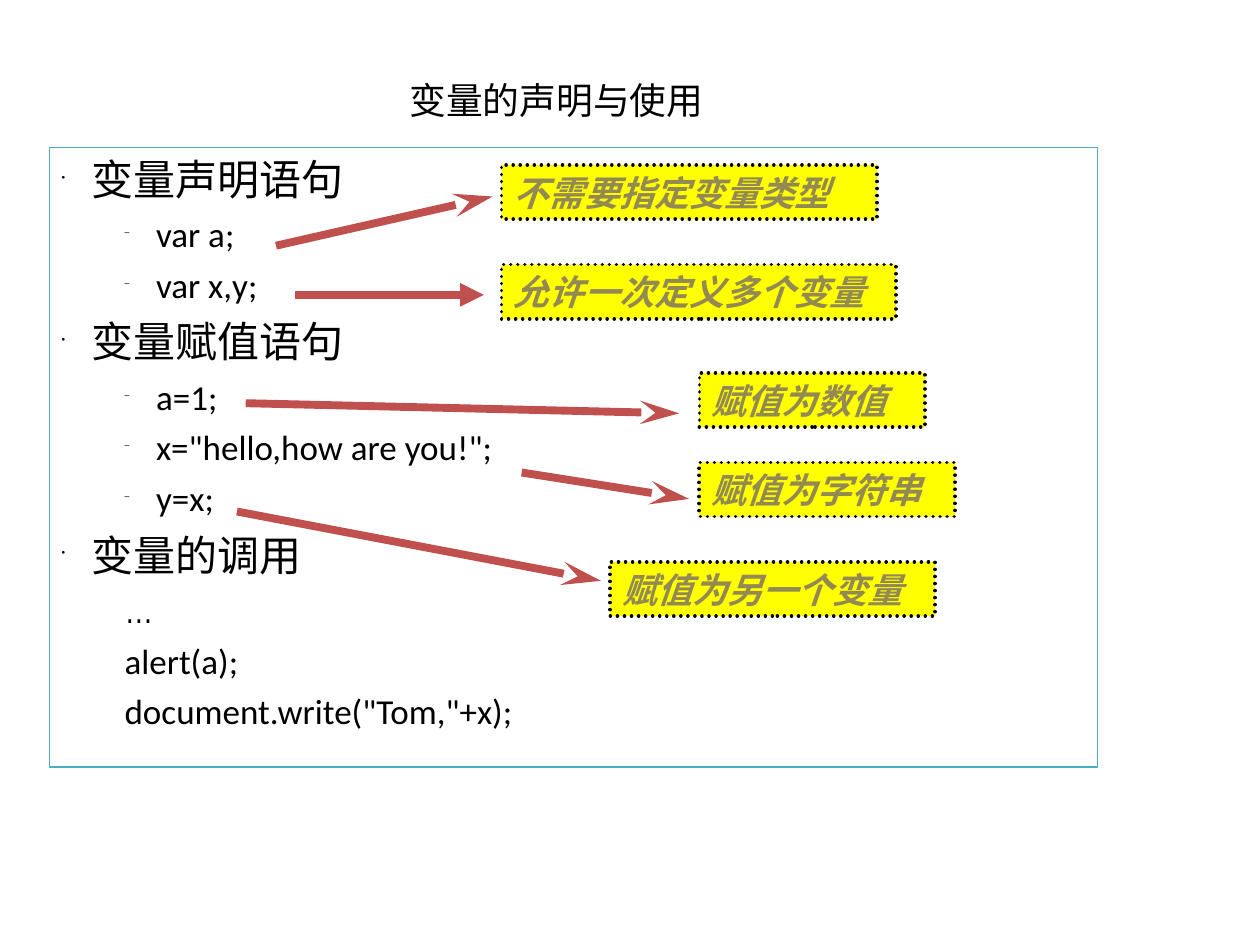
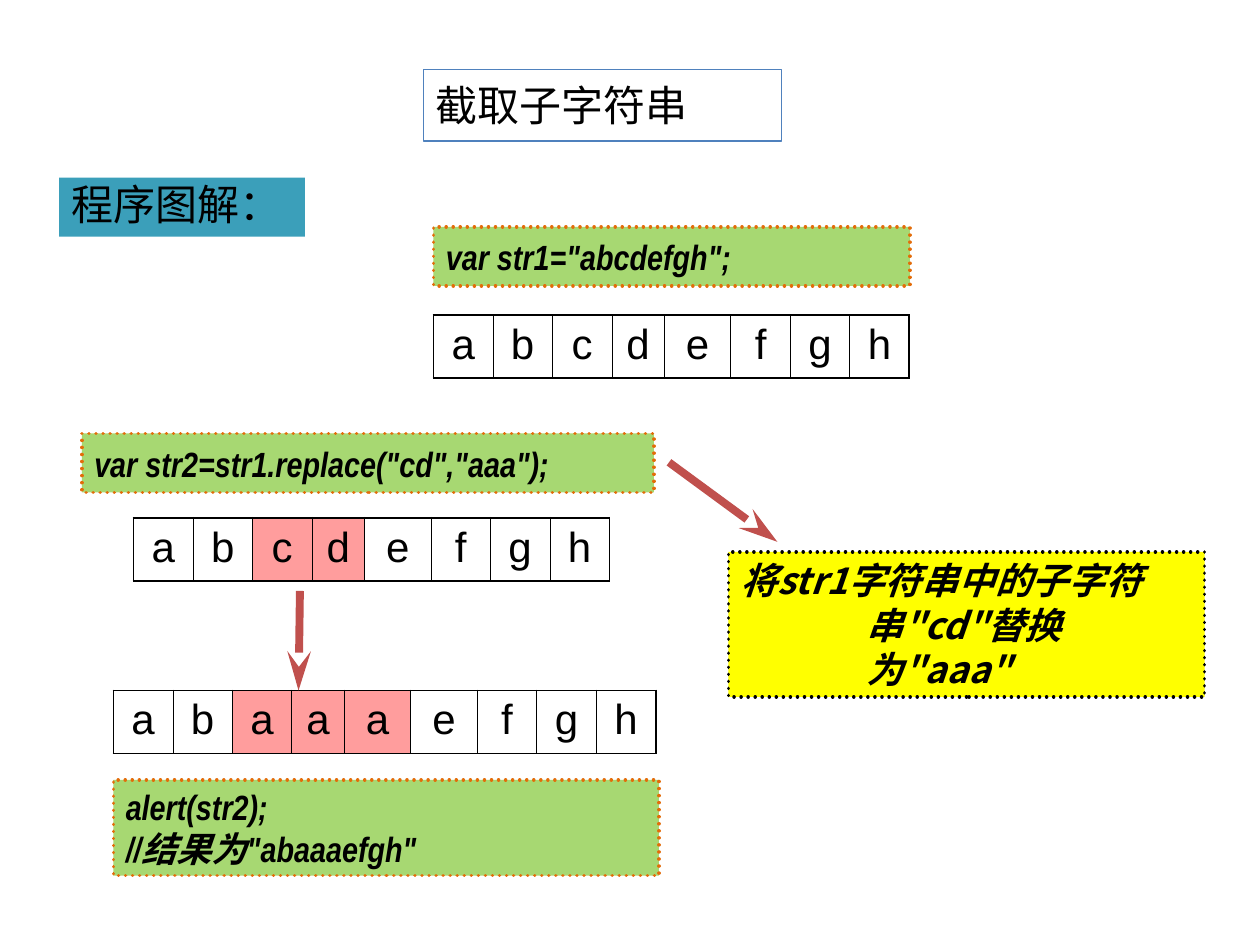
from lxml import etree
from pptx import Presentation
from pptx import util as u
from pptx.dml.color import RGBColor
from pptx.enum import dml, shapes, text
from pptx.oxml.ns import qn

COLORS = {
    "black": "000000", "white": "FFFFFF", "yellow": "FFFF00", "olive": "938953",
    "green": "A7D872", "orange": "E36C09", "red": "C0504D", "pink": "FF9D9D",
    "teal": "3B9FBA", "aqua": "4BACC6", "blue": "4F81BD",
}
CJK = "Noto Sans CJK SC"
NARROW = "Arial Narrow"
ARROW_WIDTH = 4.5
ROW_HEIGHT = 36


def color(name):
    return RGBColor.from_string(COLORS[name])


def write(para, words, size, font, ink="black", strong=False, align=text.PP_ALIGN.LEFT):
    para.alignment = align
    span = para.add_run()
    span.text = words
    span.font.size = u.Pt(size)
    span.font.name = font
    span.font.bold = span.font.italic = strong
    span.font.color.rgb = color(ink)
    latin = span.font._element.find(qn("a:latin"))
    latin.addnext(latin.makeelement(qn("a:ea"), {"typeface": CJK}))


deck = Presentation()
deck.slide_width, deck.slide_height = u.Pt(720), u.Pt(540)


def add_box(page, frame, fill, line=None, width=0.75, dotted=False,
            anchor=text.MSO_ANCHOR.TOP):
    box = page.shapes.add_shape(shapes.MSO_SHAPE.RECTANGLE, *map(u.Pt, frame))
    box.shadow.inherit = False
    box.fill.solid()
    box.fill.fore_color.rgb = RGBColor.from_string(COLORS[fill])
    if line:
        box.line.color.rgb = RGBColor.from_string(COLORS[line])
        box.line.width = u.Pt(width)
    else:
        box.line.fill.background()
    if dotted:
        box.line.dash_style = dml.MSO_LINE.ROUND_DOT
        box.line._get_or_add_ln().set("cap", "rnd")
    box.text_frame.word_wrap = True
    box.text_frame.vertical_anchor = anchor
    return box


pages = []
for words, size, frame, align in [
    ("变量的声明与使用", 21, (67.7, 39.6, 500.4, 34.6), text.PP_ALIGN.CENTER),
    ("截取子字符串", 24, (241.9, 39.6, 204.5, 41), text.PP_ALIGN.LEFT),
]:
    page = deck.slides.add_slide(deck.slide_layouts[5])
    title = page.shapes.title
    title.left, title.top, title.width, title.height = map(u.Pt, frame)
    title.text_frame.auto_size = text.MSO_AUTO_SIZE.NONE
    title.text_frame.vertical_anchor = text.MSO_ANCHOR.MIDDLE
    write(title.text_frame.paragraphs[0], words, size, CJK, align=align)
    pages.append(page)
variables, substring = pages

title = substring.shapes.title
title.fill.solid()
title.fill.fore_color.rgb = color("white")
title.line.color.rgb = color("blue")
title.line.width = u.Pt(0.75)

outline = add_box(variables, (28.1, 84.2, 599, 354.2), "white", "aqua").text_frame
for index, (bullet, words, font) in enumerate([
    ("•", "变量声明语句", "Calibri"),
    ("–", "var a;", "Calibri"),
    ("–", "var x,y;", "Calibri"),
    ("•", "变量赋值语句", "Calibri"),
    ("–", "a=1;", "Calibri"),
    ("–", 'x="hello,how are you!";', "Calibri"),
    ("–", "y=x;", "Calibri"),
    ("•", "变量的调用", "Calibri"),
    ("", "…", NARROW),
    ("", "alert(a);", "Calibri"),
    ("", 'document.write("Tom,"+x);', "Calibri"),
]):
    para = outline.add_paragraph() if index else outline.paragraphs[0]
    heading = bullet == "•"
    para.level = 0 if heading else 1
    para.space_before = u.Pt(6 if heading else 5)
    write(para, words, 24 if heading else 20, font)
    margin, hanging = (17.3, 17.3) if heading else (54, 18)
    props = para._p.get_or_add_pPr()
    props.set("marL", str(u.Pt(margin)))
    props.set("indent", str(-u.Pt(hanging)))
    if bullet:
        tint = etree.SubElement(props, qn("a:buClr"))
        etree.SubElement(tint, qn("a:srgbClr"), val=COLORS["black"])
        etree.SubElement(props, qn("a:buSzPct"), val="25000")
        etree.SubElement(props, qn("a:buChar"), char=bullet)
    else:
        etree.SubElement(props, qn("a:buNone"))

for left, top, width, words in [
    (286.6, 151.2, 225.4, "允许一次定义多个变量"),
    (286.6, 94.3, 214.6, "不需要指定变量类型"),
    (399.6, 213.1, 128.9, "赋值为数值"),
    (399.6, 264.2, 146.2, "赋值为字符串"),
    (348.5, 321.1, 185.8, "赋值为另一个变量"),
]:
    note = add_box(variables, (left, top, width, 31), "yellow", "black", 2, True)
    write(note.text_frame.paragraphs[0], words, 20, NARROW, "olive", True)

caption = add_box(substring, (33.8, 101.5, 140.4, 33.8), "teal")
caption.text_frame.paragraphs[0].line_spacing = 0.9
write(caption.text_frame.paragraphs[0], "程序图解：", 24, CJK)

for left, top, letters, marked, widths in [
    (247.7, 180, "abcdefgh", (), (34, 34, 34, 30, 38, 34, 34, 34)),
    (76.3, 295.9, "abcdefgh", (2, 3), (34, 34, 34, 30, 38, 34, 34, 34)),
    (64.8, 394.6, "abaaaefgh", (2, 3, 4), (34, 34, 34, 30, 38, 38, 34, 34, 34)),
]:
    grid = substring.shapes.add_table(
        1, len(letters), u.Pt(left), u.Pt(top), u.Pt(sum(widths)), u.Pt(ROW_HEIGHT)).table
    grid.first_row = grid.horz_banding = False
    grid.rows[0].height = u.Pt(ROW_HEIGHT)
    last = len(letters) - 1
    for index, (letter, width) in enumerate(zip(letters, widths)):
        grid.columns[index].width = u.Pt(width)
        cell = grid.cell(0, index)
        cell.vertical_anchor = text.MSO_ANCHOR.TOP
        cell.fill.solid()
        cell.fill.fore_color.rgb = color("pink" if index in marked else "white")
        write(cell.text_frame.paragraphs[0], letter, 24, "Arial", align=text.PP_ALIGN.CENTER)
        props = cell._tc.get_or_add_tcPr()
        for place, (side, outer) in enumerate([
            ("lnL", index == 0), ("lnR", index == last), ("lnT", True), ("lnB", True),
        ]):
            border = etree.Element(qn(f"a:{side}"), w=str(u.Pt(1.08 if outer else 0.45)))
            paint = etree.SubElement(border, qn("a:solidFill"))
            etree.SubElement(paint, qn("a:srgbClr"), val=COLORS["black"])
            props.insert(place, border)

for frame, lines in [
    ((247.7, 129.6, 272.2, 33.8), ['var str1="abcdefgh";']),
    ((46.8, 247.7, 326.9, 33.8), ['var str2=str1.replace("cd","aaa");']),
    ((64.8, 445.7, 311.8, 54.7), ["alert(str2);", '//结果为"abaaaefgh"']),
]:
    code = add_box(substring, frame, "green", "orange", 2, True, text.MSO_ANCHOR.MIDDLE)
    for index, words in enumerate(lines):
        para = code.text_frame.add_paragraph() if index else code.text_frame.paragraphs[0]
        write(para, words, 20, NARROW, strong=True)

explanation = add_box(substring, (416.2, 315.4, 272.2, 82.8), "yellow", "black", 2, True)
para = explanation.text_frame.paragraphs[0]
write(para, '将str1字符串中的子字符串"cd"替换为"aaa"', 21, CJK, strong=True)
para._p.get_or_add_pPr().set("marL", str(u.Pt(72)))
para._p.get_or_add_pPr().set("indent", str(-u.Pt(72)))

for page, ends, head, length in [
    (variables, (168.5, 168.5, 276.5, 168.5), "triangle", "med"),
    (variables, (157.7, 140.4, 281.5, 112.3), "stealth", "lg"),
    (variables, (140.4, 230.4, 388.1, 236.2), "stealth", "lg"),
    (variables, (298.1, 270, 393.8, 285.1), "stealth", "lg"),
    (variables, (135.4, 292.3, 343.4, 331.9), "stealth", "lg"),
    (substring, (171.4, 337.7, 170.6, 394.6), "stealth", "lg"),
    (substring, (382.3, 264.2, 444.2, 309.6), "stealth", "lg"),
]:
    arrow = page.shapes.add_connector(shapes.MSO_CONNECTOR.STRAIGHT, *map(u.Pt, ends))
    arrow.line.color.rgb = color("red")
    arrow.line.width = u.Pt(ARROW_WIDTH)
    etree.SubElement(arrow.line._get_or_add_ln(), qn("a:tailEnd"), type=head, len=length)
    etree.SubElement(arrow._element.spPr, qn("a:effectLst"))

deck.save("out.pptx")
